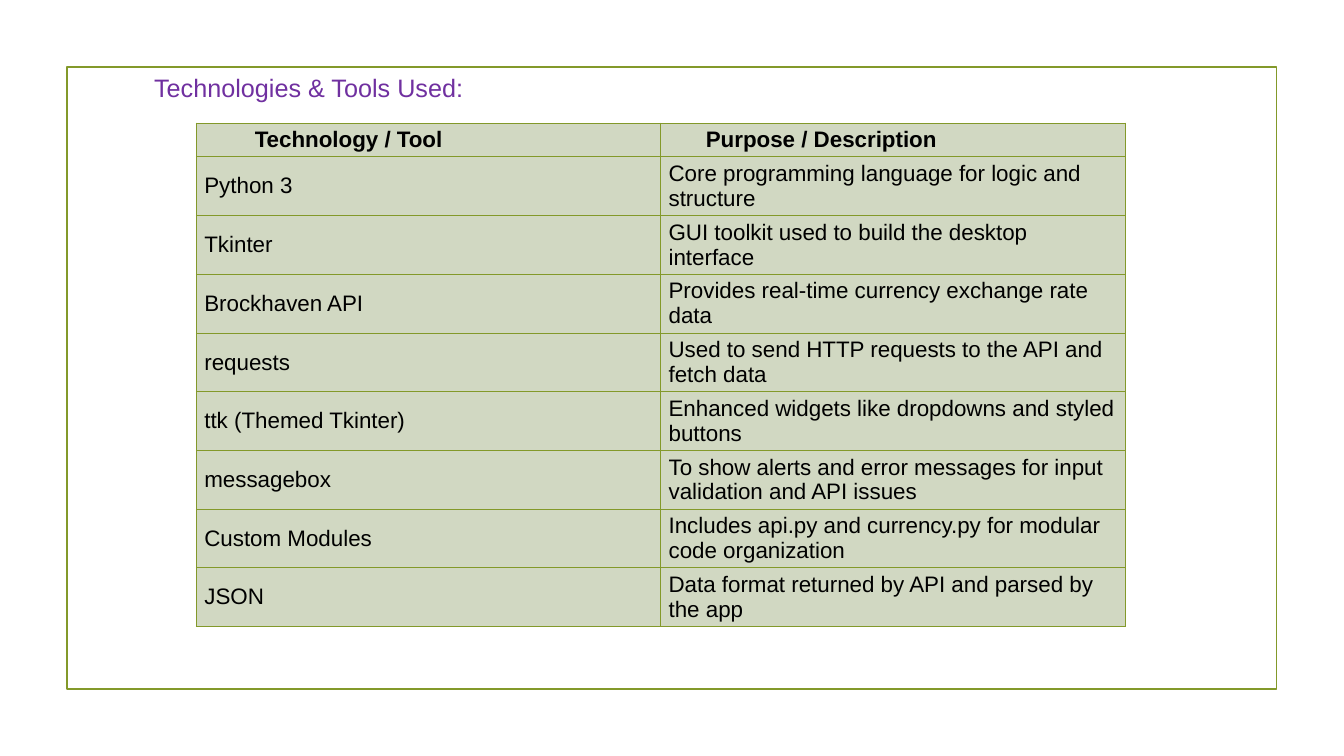
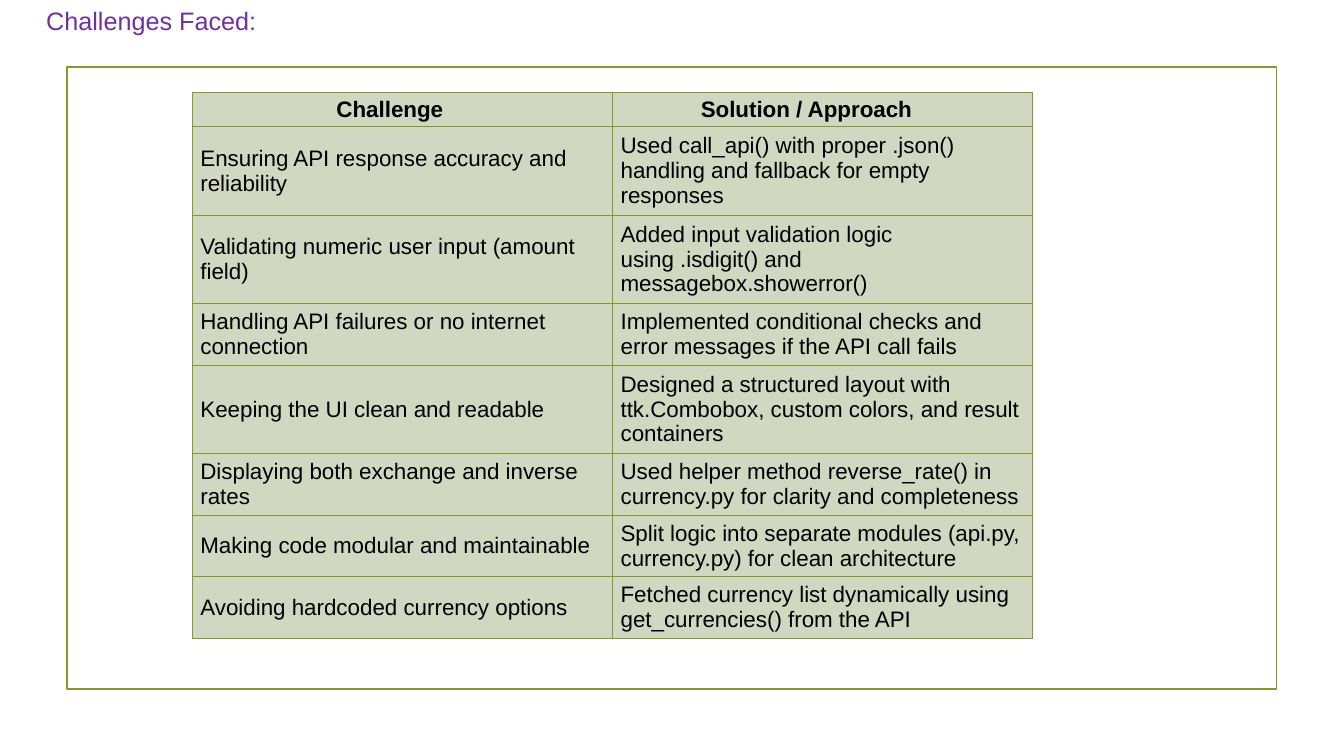
from lxml.etree import SubElement
from pptx import Presentation
from pptx.dml.color import RGBColor
from pptx.enum.shapes import MSO_SHAPE
from pptx.enum.text import MSO_ANCHOR, MSO_AUTO_SIZE, PP_ALIGN
from pptx.oxml.ns import qn
from pptx.util import Cm, Pt

OLIVE = RGBColor(0x83, 0x99, 0x2A)
SAGE = RGBColor(0xD1, 0xD8, 0xC2)
PURPLE = RGBColor(0x70, 0x30, 0xA0)
BLACK = RGBColor(0, 0, 0)
FONT = "Arial"
CELL_SIDE, CELL_EDGE = 0.2, 0.1
HEADER_HEIGHT = 0.85

SLIDES = [
    {
        "title": "Technologies & Tools Used:",
        "title_at": (3.63, 1.7),
        "table_at": (4.95, 3.1),
        "column_width": 11.7,
        "header_indents": (1.27, 0.94),
        "row_heights": [1.48] * 8,
        "rows": [
            ("Technology / Tool", "Purpose / Description"),
            ("Python 3", "Core programming language for logic and structure"),
            ("Tkinter", "GUI toolkit used to build the desktop interface"),
            ("Brockhaven API", "Provides real-time currency exchange rate data"),
            ("requests", "Used to send HTTP requests to the API and fetch data"),
            ("ttk (Themed Tkinter)", "Enhanced widgets like dropdowns and styled buttons"),
            ("messagebox", "To show alerts and error messages for input validation and API issues"),
            ("Custom Modules", "Includes api.py and currency.py for modular code organization"),
            ("JSON", "Data format returned by API and parsed by the app"),
        ],
    },
    {
        "title": "Challenges Faced:",
        "title_at": (0.91, 0),
        "table_at": (4.85, 2.34),
        "column_width": 10.59,
        "header_indents": (3.43, 2.02),
        "row_heights": [2.23, 2.23, 1.55, 2.23, 1.55, 1.55, 1.55],
        "rows": [
            ("Challenge", "Solution / Approach"),
            ("Ensuring API response accuracy and reliability",
             "Used call_api() with proper .json() handling and fallback for empty responses"),
            ("Validating numeric user input (amount field)",
             "Added input validation logic using .isdigit() and messagebox.showerror()"),
            ("Handling API failures or no internet connection",
             "Implemented conditional checks and error messages if the API call fails"),
            ("Keeping the UI clean and readable",
             "Designed a structured layout with ttk.Combobox, custom colors, and result containers"),
            ("Displaying both exchange and inverse rates",
             "Used helper method reverse_rate() in currency.py for clarity and completeness"),
            ("Making code modular and maintainable",
             "Split logic into separate modules (api.py, currency.py) for clean architecture"),
            ("Avoiding hardcoded currency options",
             "Fetched currency list dynamically using get_currencies() from the API"),
        ],
    },
]


def write_text(frame, text, size=16, color=BLACK, bold=False):
    paragraph = frame.paragraphs[0]
    paragraph.alignment = PP_ALIGN.LEFT
    span = paragraph.add_run()
    span.text = text
    span.font.name = FONT
    span.font.size = Pt(size)
    span.font.bold = bold
    span.font.color.rgb = color


def add_frame(page):
    frame = page.shapes.add_shape(MSO_SHAPE.RECTANGLE, Cm(1.69), Cm(1.69), Cm(30.48), Cm(15.67))
    frame.shadow.inherit = False
    frame.fill.background()
    frame.line.color.rgb = OLIVE
    frame.line.width = Pt(1.25)


def place_title(page, text, left, top):
    title = page.shapes.title
    title.left, title.top, title.width, title.height = Cm(left), Cm(top), Cm(16.93), Cm(1.02)
    title.text_frame.auto_size = MSO_AUTO_SIZE.NONE
    title.text_frame.vertical_anchor = MSO_ANCHOR.TOP
    write_text(title.text_frame, text, size=18, color=PURPLE)


def add_borders(cell):
    properties = cell._tc.get_or_add_tcPr()
    for side in ("a:lnL", "a:lnR", "a:lnT", "a:lnB"):
        line = SubElement(properties, qn(side), w=str(Pt(0.75)))
        fill = SubElement(line, qn("a:solidFill"))
        SubElement(fill, qn("a:srgbClr"), val=str(OLIVE))


def format_cell(cell, text, indent=0, bold=False):
    cell.margin_left = Cm(CELL_SIDE + indent)
    cell.margin_right = Cm(CELL_SIDE)
    cell.margin_top = cell.margin_bottom = Cm(CELL_EDGE)
    cell.vertical_anchor = MSO_ANCHOR.MIDDLE
    add_borders(cell)
    cell.fill.solid()
    cell.fill.fore_color.rgb = SAGE
    write_text(cell.text_frame, text, bold=bold)


def add_grid(page, content):
    rows = content["rows"]
    heights = [HEADER_HEIGHT] + content["row_heights"]
    left, top = content["table_at"]
    width = content["column_width"] * len(rows[0])
    table = page.shapes.add_table(
        len(rows), len(rows[0]), Cm(left), Cm(top), Cm(width), Cm(sum(heights))
    ).table
    table.first_row = table.horz_banding = False
    for column in table.columns:
        column.width = Cm(content["column_width"])
    for row_index, (texts, height) in enumerate(zip(rows, heights)):
        table.rows[row_index].height = Cm(height)
        header = row_index == 0
        for column_index, text in enumerate(texts):
            indent = content["header_indents"][column_index] if header else 0
            format_cell(table.cell(row_index, column_index), text, indent=indent, bold=header)


def main():
    deck = Presentation()
    deck.slide_width, deck.slide_height = Cm(33.87), Cm(19.05)
    title_only = deck.slide_layouts[5]
    for content in SLIDES:
        page = deck.slides.add_slide(title_only)
        add_frame(page)
        place_title(page, content["title"], *content["title_at"])
        add_grid(page, content)
    deck.save("out.pptx")


if __name__ == "__main__":
    main()
